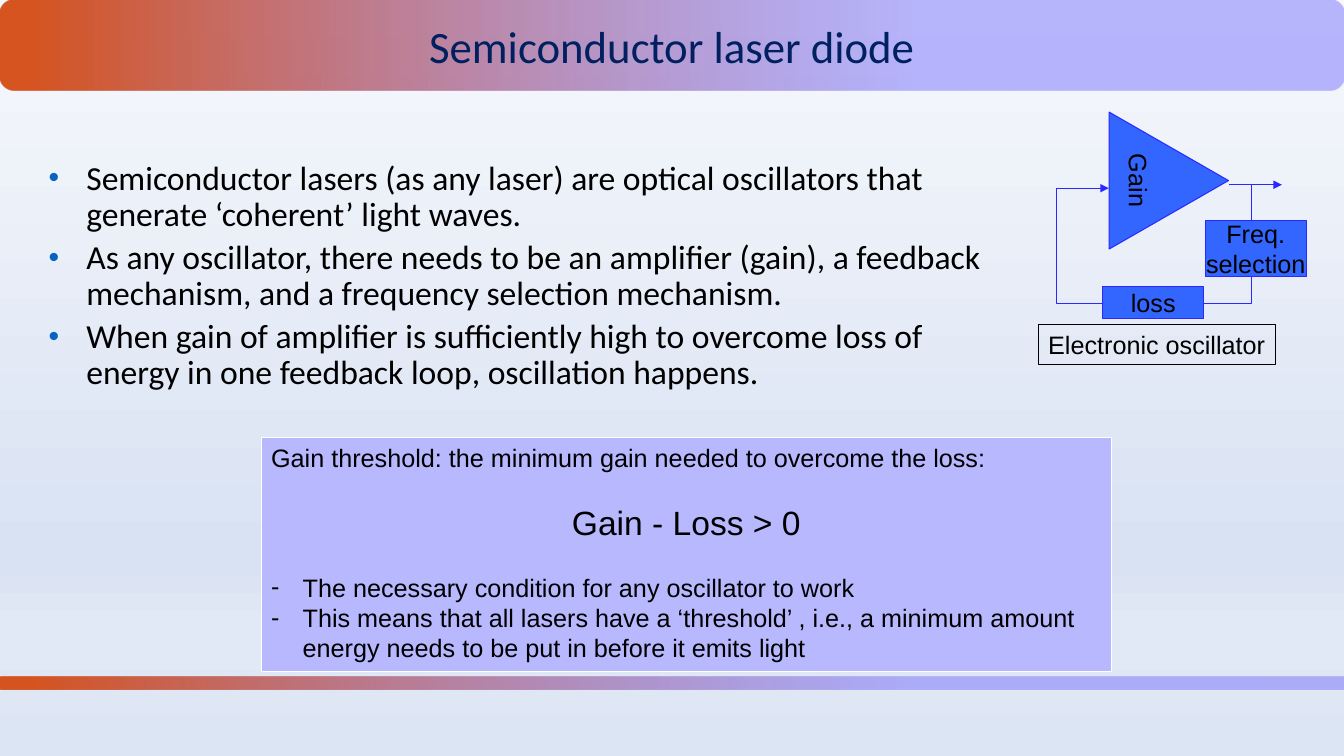
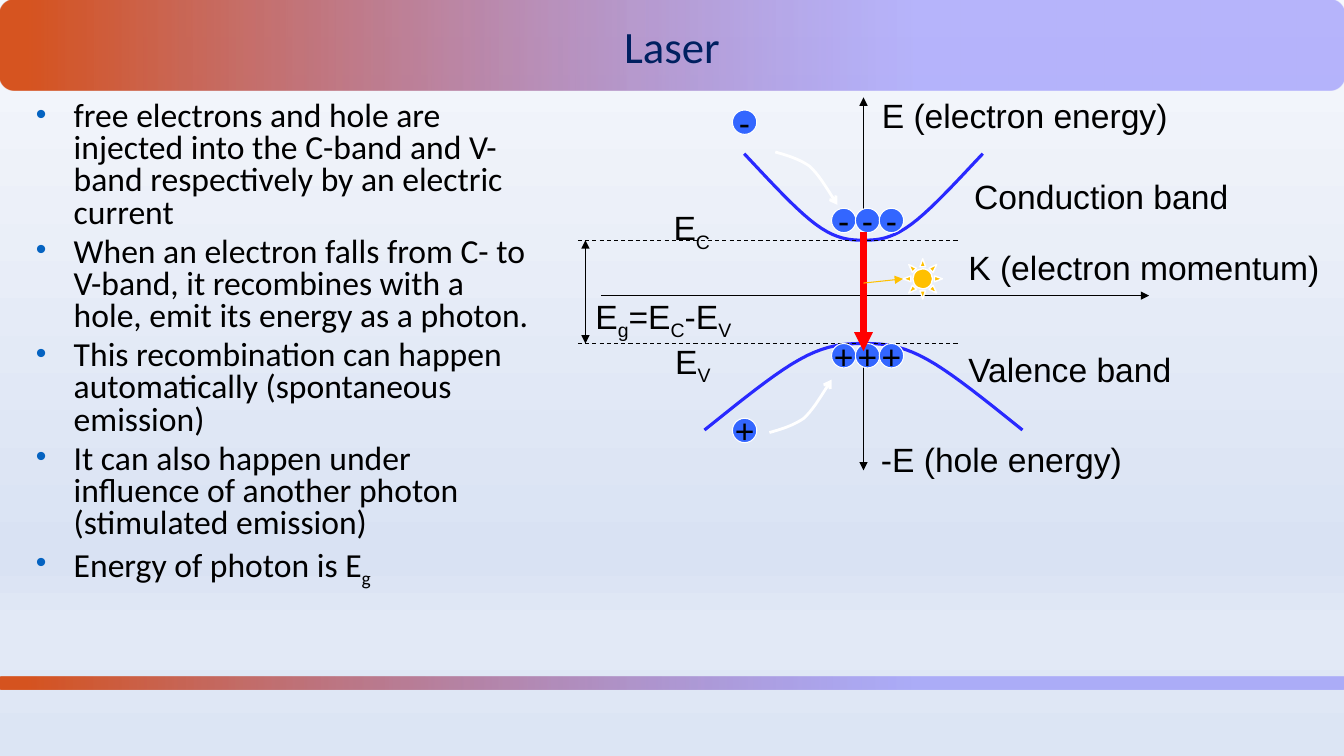
from dataclasses import dataclass

from pptx import Presentation
from pptx.dml.color import RGBColor
from pptx.enum.dml import MSO_LINE
from pptx.enum.shapes import MSO_CONNECTOR, MSO_SHAPE
from pptx.enum.text import MSO_ANCHOR, PP_ALIGN
from pptx.oxml.ns import qn
from pptx.oxml.xmlchemy import OxmlElement
from pptx.util import Emu, Pt

LEFT, CENTER = PP_ALIGN.LEFT, PP_ALIGN.CENTER
TOP, MIDDLE = MSO_ANCHOR.TOP, MSO_ANCHOR.MIDDLE
RECT, ROUNDED = MSO_SHAPE.RECTANGLE, MSO_SHAPE.ROUNDED_RECTANGLE
TRIANGLE, OVAL, SUN = MSO_SHAPE.ISOSCELES_TRIANGLE, MSO_SHAPE.OVAL, MSO_SHAPE.SUN
STRAIGHT, DASH = MSO_CONNECTOR.STRAIGHT, MSO_LINE.DASH

# Grid: 160 columns by 90 rows of square cells
COLUMNS, ROWS = 160, 90
CELL = 76200


@dataclass(frozen=True)
class Theme:
    heading_font: str = "Calibri"
    label_font: str = "Arial"
    title_size: float = 32
    large: float = 24
    small: float = 18
    title: str = "002060"
    ink: str = "000000"
    white: str = "FFFFFF"
    bullet: str = "0563C1"
    block: str = "3366FF"
    wire: str = "2929FF"
    panel: str = "B8B8FF"
    fall: str = "FF0000"
    photon: str = "FFC000"
    # Gradient stops: position, colour, opacity (percent)
    page_stops: tuple = ((0, "F6F8FC", 100), (74, "D9E2F3", 100),
                         (83, "E2E9F6", 100), (100, "DCE5F4", 47))
    band_stops: tuple = ((2, "D65420", 100), (68, "7B75FB", 51))


THEME = Theme()


def cells(*lengths):
    return [Emu(round(length * CELL)) for length in lengths]


def child(parent, tag, **attributes):
    element = OxmlElement(tag)
    for name, value in attributes.items():
        element.set(name, str(value))
    parent.append(element)
    return element


# Fills and lines
def gradient(fill, owner, stops, angle):
    fill.gradient()
    fill.gradient_angle = angle
    stop_list = owner.find(".//" + qn("a:gsLst"))
    for old in list(stop_list):
        stop_list.remove(old)
    for position, color, opacity in stops:
        stop = child(stop_list, "a:gs", pos=position * 1000)
        tint = child(stop, "a:srgbClr", val=color)
        if opacity < 100:
            child(tint, "a:alpha", val=opacity * 1000)


def stroke(item, color, width, dash=None, head=None, tail=None):
    item.line.color.rgb = RGBColor.from_string(color)
    item.line.width = Pt(width)
    if dash:
        item.line.dash_style = dash
    outline = item.element.find(".//" + qn("a:ln"))
    for tag, kind in (("a:headEnd", head), ("a:tailEnd", tail)):
        if kind:
            child(outline, tag, type=kind)


# Text; pieces between bars are subscripts
def write(box, lines, size, font=THEME.label_font, color=THEME.ink, align=LEFT,
          spacing=None, before=0, bullet=None, indent=0, bullet_color=None):
    frame = box.text_frame
    for line in lines:
        first = not frame.text
        para = frame.paragraphs[0] if first else frame.add_paragraph()
        para.alignment = align
        if spacing:
            para.line_spacing = spacing
        if before and not first:
            para.space_before = Pt(before)
        if bullet:
            props = para._p.get_or_add_pPr()
            hang = cells(indent)[0]
            props.set("marL", str(hang))
            props.set("indent", str(-hang))
            if bullet_color:
                child(child(props, "a:buClr"), "a:srgbClr", val=bullet_color)
                child(props, "a:buSzPct", val=90000)
            child(props, "a:buFont", typeface="Arial")
            child(props, "a:buChar", char=bullet)
        para.font.name, para.font.size = font, Pt(size)
        para.font.color.rgb = RGBColor.from_string(color)
        for index, piece in enumerate(line.split("|")):
            if piece:
                span = para.add_run()
                span.text = piece
                if index % 2:
                    span._r.get_or_add_rPr().set("baseline", "-25000")


def text_box(page, place, wrap=True):
    box = page.shapes.add_textbox(*cells(*place))
    box.text_frame.word_wrap = wrap
    return box


def label(page, left, top, width, text):
    write(text_box(page, (left, top, width, 6), wrap=False), [text], THEME.large)


def bullets(page, place, lines, spacing):
    write(text_box(page, place), lines, THEME.large, THEME.heading_font,
          spacing=spacing, before=4.8, bullet="•", indent=4.5,
          bullet_color=THEME.bullet)


# Shapes and lines
def block(page, kind, place, fill=None, line=None, width=0.75, wrap=False, anchor=MIDDLE):
    shape = page.shapes.add_shape(kind, *cells(*place))
    shape.shadow.inherit = False
    if fill:
        shape.fill.solid()
        shape.fill.fore_color.rgb = RGBColor.from_string(fill)
    else:
        shape.fill.background()
    if line:
        stroke(shape, line, width)
    else:
        shape.line.fill.background()
    shape.text_frame.word_wrap = wrap
    shape.text_frame.vertical_anchor = anchor
    return shape


def circuit_block(page, kind, place, lines):
    shape = block(page, kind, place, THEME.block, THEME.wire)
    write(shape, lines, THEME.small, align=CENTER)
    return shape


def straight(page, start, end, color=THEME.ink, width=0.75, **ends):
    line = page.shapes.add_connector(STRAIGHT, *cells(*start, *end))
    stroke(line, color, width, **ends)
    child(line.element.spPr, "a:effectLst")


def polyline(page, points, color, width, **ends):
    corners = [cells(*point) for point in points]
    builder = page.shapes.build_freeform(*corners[0], scale=1.0)
    builder.add_line_segments(corners[1:], close=False)
    path = builder.convert_to_shape()
    path.shadow.inherit = False
    path.fill.background()
    stroke(path, color, width, **ends)


def bezier(knots, steps=10):
    """Points along joined cubic curves: anchor, two handles, anchor, ..."""
    points = [knots[0]]
    for first in range(0, len(knots) - 1, 3):
        for step in range(1, steps + 1):
            t = step / steps
            weights = ((1 - t) ** 3, 3 * t * (1 - t) ** 2, 3 * t * t * (1 - t), t ** 3)
            points.append(tuple(
                sum(w * knot[axis] for w, knot in zip(weights, knots[first:first + 4]))
                for axis in (0, 1)))
    return points


def curve(page, origin, knots, scale_x, scale_y, color, width, **ends):
    points = [(origin[0] + x * scale_x, origin[1] + y * scale_y)
              for x, y in bezier(knots)]
    polyline(page, points, color, width, **ends)


# Shared frame: background, title band, footer rule
def new_page(deck, title):
    page = deck.slides.add_slide(deck.slide_layouts[6])
    gradient(page.background.fill, page.element, THEME.page_stops, 270)
    for top, height in ((0, 10.8), (80.5, 1.6)):
        band = block(page, ROUNDED, (0, top, COLUMNS, height))
        gradient(band.fill, band.element, THEME.band_stops, 0)
    write(text_box(page, (0, 2.4, COLUMNS, 5.5)), [title], THEME.title_size,
          THEME.heading_font, THEME.title, CENTER, spacing=0.9)
    return page


def oscillator(page):
    gain = circuit_block(page, TRIANGLE, (131, 14.4, 16.3, 14.2), ["Gain"])
    gain.rotation = 90
    straight(page, (146.3, 22), (152.6, 22), THEME.wire, tail="triangle")
    loop = [(149, 22), (149, 36.1), (125.8, 36.1), (125.8, 22.4), (132, 22.4)]
    polyline(page, loop, THEME.wire, 0.75, tail="triangle")
    caption = block(page, RECT, (123.6, 38.6, 28.2, 4.8), line=THEME.ink, anchor=TOP)
    write(caption, ["Electronic oscillator"], THEME.small)
    circuit_block(page, RECT, (131.3, 34.1, 12, 3.8), ["loss"])
    circuit_block(page, RECT, (143.5, 26.3, 12, 6.6), ["Freq.", "selection"])


def diode_page(deck):
    page = new_page(deck, "Semiconductor laser diode")
    bullets(page, (4.6, 18.6, 116.4, 32.6), [
        "Semiconductor lasers (as any laser) are optical oscillators that generate ‘coherent’ light waves.",
        "As any oscillator, there needs to be an amplifier (gain), a feedback mechanism, and a frequency selection mechanism.",
        "When gain of amplifier is sufficiently high to overcome loss of energy in one feedback loop, oscillation happens.",
    ], spacing=0.9)
    oscillator(page)

    # Threshold panel
    panel = block(page, RECT, (31.1, 52.1, 101.2, 27.8), THEME.panel, THEME.white,
                  wrap=True, anchor=TOP)
    write(panel, ["Gain threshold: the minimum gain needed to overcome the loss:"], THEME.small)
    write(panel, ["Gain - Loss > 0"], THEME.large, align=CENTER, before=21)
    notes = ["The necessary condition for any oscillator to work",
             "This means that all lasers have a ‘threshold’ , i.e., a minimum amount "
             "energy needs to be put in before it emits light"]
    for note, before in zip(notes, (21, 0)):
        write(panel, [note], THEME.small, before=before, bullet="-", indent=3.75)


def carrier(page, left, top, sign):
    ball = block(page, OVAL, (left, top, 2.9, 2.9), THEME.block, THEME.white)
    write(ball, [sign], THEME.large, align=CENTER)


def band_diagram(page):
    axis, conduction, valence = 102.8, 28.6, 40.9

    # Axes
    straight(page, (71.6, 35.2), (136.8, 35.2), tail="triangle")
    straight(page, (axis, 56), (axis, 11.6), head="triangle", tail="triangle")

    # Bands: the valence band is the conduction band flipped and widened
    half_band = [(0, 0), (1.6, 0), (3.3, -0.1), (5.7, -1.9),
                 (8, -3.6), (11.1, -7), (14.2, -10.3)]
    for edge, stretch, flip in ((conduction, 1, 1), (valence, 4 / 3, -1)):
        for side in (1, -1):
            curve(page, (axis, edge), half_band, side * stretch, flip, THEME.wire, 2.25)
        straight(page, (68.8, edge), (114.1, edge), dash=DASH)
    straight(page, (69.7, valence), (69.7, conduction), head="triangle", tail="triangle")

    # Labels
    for left, top, width, text in (
            (114.1, 28.8, 44.6, "K (electron momentum)"),
            (103.8, 10.7, 36.8, "E (electron energy)"),
            (114.8, 20.3, 33, "Conduction band"),
            (114.1, 40.9, 27.1, "Valence band"),
            (79, 24.1, 7.1, "E|C|"),
            (79.2, 40, 7, "E|V|"),
            (69.7, 34.6, 19.4, "E|g|=E|C|-E|V|"),
            (103.7, 51.7, 31.4, "-E (hole energy)")):
        label(page, left, top, width, text)

    # Carriers: three at each band edge, one injected along an arrow
    entry = [(0, 0), (1.4, 0.4), (2.8, 0.8), (4.1, 1.7),
             (5.3, 2.8), (6.3, 4.6), (7.4, 6.3)]
    for sign, row, lone_row, start, flip in (
            ("-", 24.8, 13.1, (92.3, 18.1), 1),
            ("+", valence, 49.8, (91.6, 51.5), -1)):
        for index in range(3):
            carrier(page, 99 + 2.84 * index, row, sign)
        carrier(page, 87.2, lone_row, sign)
        curve(page, start, entry, 1, flip, THEME.white, 2, tail="arrow")

    # Recombination and photon
    straight(page, (axis, 27.6), (axis, 41.8), THEME.fall, 4.5, tail="triangle")
    block(page, SUN, (107.5, 30.8, 4.7, 4.8), THEME.photon, THEME.white, 1)
    straight(page, (axis, 33.7), (107.5, 33.2), THEME.photon, tail="triangle")


def laser_page(deck):
    page = new_page(deck, "Laser")
    bullets(page, (3.1, 11.5, 61.2, 25.7), [
        "free electrons and hole are injected into the C-band and V-band respectively by an electric current",
        "When an electron falls from C- to V-band, it recombines with a hole, emit its energy as a photon.",
        "This recombination can happen automatically (spontaneous emission)",
        "It can also happen under influence of another photon (stimulated emission)",
        "Energy of photon is E|g|",
    ], spacing=0.8)
    band_diagram(page)


def main():
    deck = Presentation()
    deck.slide_width, deck.slide_height = cells(COLUMNS, ROWS)
    diode_page(deck)
    laser_page(deck)
    deck.save("out.pptx")


if __name__ == "__main__":
    main()
